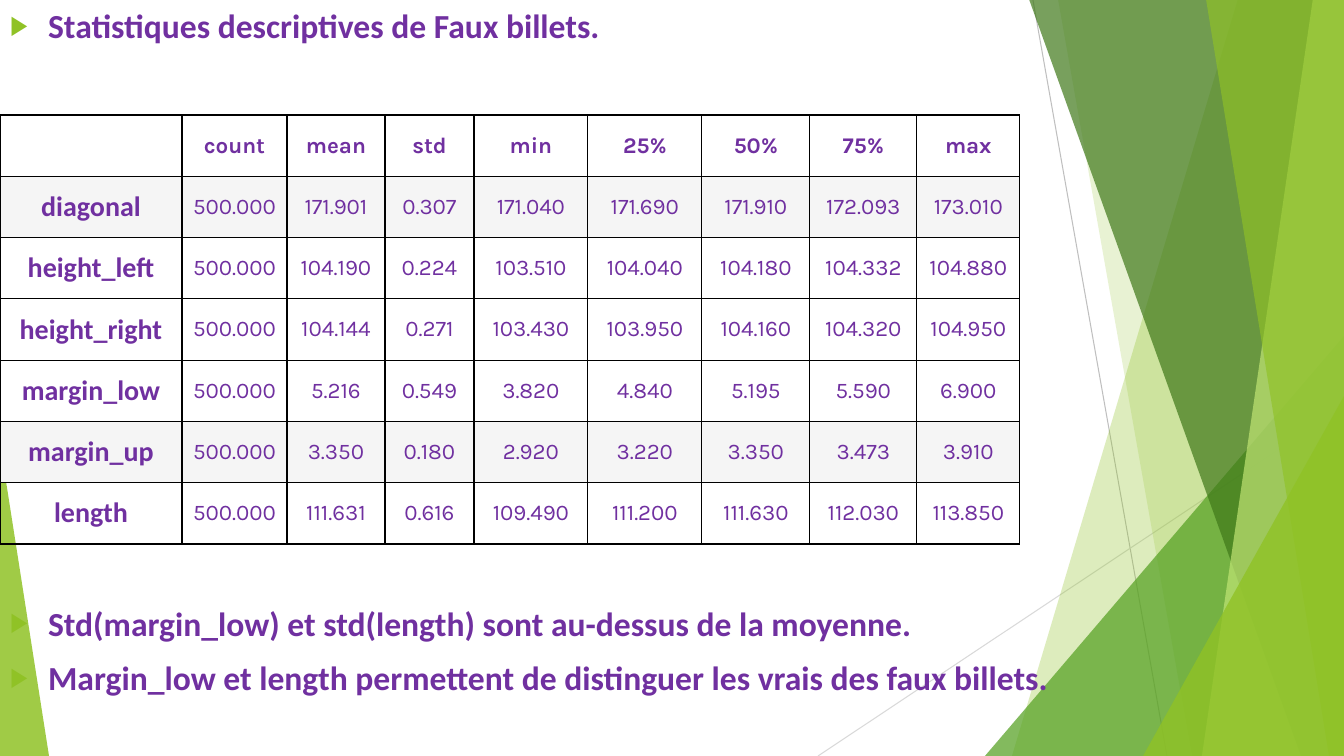
from dataclasses import dataclass

from lxml import etree
from pptx import Presentation
from pptx import util as u
from pptx.dml.color import RGBColor
from pptx.enum import shapes, text
from pptx.oxml import ns

WIDTH, HEIGHT = 1344, 756
SCALE = 12192000 / WIDTH
PURPLE, GREEN, BLACK, STRIPE = "7030A0", "90C226", "000000", "F5F5F5"


@dataclass(frozen=True)
class Line:
    start: tuple[int, int]
    end: tuple[int, int]
    colour: str


@dataclass(frozen=True)
class Facet:
    top: int
    bottom: int
    colour: str
    opacity: int


@dataclass(frozen=True)
class Triangle:
    left: int
    top: int
    width: int
    apex: int
    colour: str
    opacity: int


@dataclass(frozen=True)
class Bullet:
    words: str
    space_before: int


LINES = [
    Line((1033, 0), (1167, HEIGHT), "BFBFBF"),
    Line((WIDTH, 406), (818, HEIGHT), "D9D9D9"),
]
DECORATION = [
    Facet(1238, 1012, GREEN, 30),
    Facet(1058, 1192, GREEN, 20),
    Triangle(985, 336, 359, 1, "54A021", 72),
    Facet(1029, 1301, "3F7819", 70),
    Facet(1313, 1202, "C0E474", 70),
    Facet(1206, 1329, GREEN, 65),
    Triangle(1143, 396, 201, 1, GREEN, 80),
    Triangle(0, 443, 49, 0, GREEN, 85),
]
BULLETS = [
    Bullet("Statistiques descriptives de Faux billets.", 0),
    Bullet("Std(margin_low) et std(length) sont au-dessus de la moyenne.", 398),
    Bullet("Margin_low et length permettent de distinguer les vrais des faux billets.", 10),
]
COLUMN_WIDTHS = [182, 105, 98, 89, 114, 114, 108, 107, 103]
STATISTICS = [
    ["", "count", "mean", "std", "min", "25%", "50%", "75%", "max"],
    ["diagonal", "500.000", "171.901", "0.307", "171.040", "171.690", "171.910", "172.093", "173.010"],
    ["height_left", "500.000", "104.190", "0.224", "103.510", "104.040", "104.180", "104.332", "104.880"],
    ["height_right", "500.000", "104.144", "0.271", "103.430", "103.950", "104.160", "104.320", "104.950"],
    ["margin_low", "500.000", "5.216", "0.549", "3.820", "4.840", "5.195", "5.590", "6.900"],
    ["margin_up", "500.000", "3.350", "0.180", "2.920", "3.220", "3.350", "3.473", "3.910"],
    ["length", "500.000", "111.631", "0.616", "109.490", "111.200", "111.630", "112.030", "113.850"],
]
STRIPED_ROWS = {"diagonal", "margin_up"}


def px(length: int) -> u.Emu:
    return u.Emu(round(length * SCALE))


def rgb(colour: str) -> RGBColor:
    return RGBColor.from_string(colour)


def add_element(parent, tag: str, **attributes: str):
    return etree.SubElement(parent, ns.qn(tag), attributes)


def write(paragraph, words: str, *, size: int, font: str, bold: bool = True,
          align=text.PP_ALIGN.LEFT, space_before: int = 0) -> None:
    paragraph.alignment = align
    paragraph.space_before = u.Pt(space_before)
    run = paragraph.add_run()
    run.text = words
    run.font.size = u.Pt(size)
    run.font.name = font
    run.font.bold = bold
    run.font.color.rgb = rgb(PURPLE)


def draw_line(slide, line: Line) -> None:
    connector = slide.shapes.add_connector(
        shapes.MSO_CONNECTOR.STRAIGHT, *map(px, line.start + line.end))
    connector.line.color.rgb = rgb(line.colour)
    connector.line.width = u.Pt(0.75)
    add_element(connector.element.spPr, "a:effectLst")


def draw_decoration(slide, item: Facet | Triangle) -> None:
    if isinstance(item, Facet):
        builder = slide.shapes.build_freeform(item.top, -1, scale=SCALE)
        builder.add_line_segments([(WIDTH, -1), (WIDTH, HEIGHT), (item.bottom, HEIGHT)])
        shape = builder.convert_to_shape()
    else:
        shape = slide.shapes.add_shape(
            shapes.MSO_SHAPE.ISOSCELES_TRIANGLE, px(item.left), px(item.top),
            px(item.width), px(HEIGHT - item.top))
        shape.adjustments[0] = item.apex
    shape.shadow.inherit = False
    shape.line.fill.background()
    shape.fill.solid()
    shape.fill.fore_color.rgb = rgb(item.colour)
    colour = shape.element.spPr.find(ns.qn("a:solidFill"))[0]
    add_element(colour, "a:alpha", val=str(item.opacity * 1000))


def fill_body(slide) -> None:
    body = slide.placeholders[1]
    body.element.getparent().append(body.element)
    body.left, body.top, body.width, body.height = map(px, (0, 0, WIDTH, HEIGHT))
    frame = body.text_frame
    frame.auto_size = text.MSO_AUTO_SIZE.NONE
    frame.vertical_anchor = text.MSO_ANCHOR.TOP
    frame.word_wrap = True
    for index, bullet in enumerate(BULLETS):
        paragraph = frame.add_paragraph() if index else frame.paragraphs[0]
        properties = paragraph._p.get_or_add_pPr()
        properties.set("marL", str(px(38)))
        properties.set("indent", str(px(-38)))
        add_element(add_element(properties, "a:buClr"), "a:srgbClr", val=GREEN)
        add_element(properties, "a:buSzPct", val="80000")
        add_element(properties, "a:buFont", typeface="Calibri")
        add_element(properties, "a:buChar", char="▶")
        write(paragraph, bullet.words, size=24, font="Calibri",
              space_before=bullet.space_before)


def format_cell(cell, striped: bool) -> None:
    cell.vertical_anchor = text.MSO_ANCHOR.MIDDLE
    cell.margin_left = cell.margin_right = px(9)
    cell.margin_top = cell.margin_bottom = px(4)
    properties = cell._tc.get_or_add_tcPr()
    for side in ("a:lnL", "a:lnR", "a:lnT", "a:lnB"):
        border = add_element(properties, side, w=str(u.Pt(1)))
        add_element(add_element(border, "a:solidFill"), "a:srgbClr", val=BLACK)
    if striped:
        cell.fill.solid()
        cell.fill.fore_color.rgb = rgb(STRIPE)
    else:
        cell.fill.background()


def draw_table(slide) -> None:
    table = slide.shapes.add_table(
        len(STATISTICS), len(COLUMN_WIDTHS), px(0), px(115),
        px(sum(COLUMN_WIDTHS)), px(429)).table
    table.first_row = table.horz_banding = False
    for column, width in zip(table.columns, COLUMN_WIDTHS):
        column.width = px(width)
    for row, values in enumerate(STATISTICS):
        for column, value in enumerate(values):
            cell = table.cell(row, column)
            format_cell(cell, values[0] in STRIPED_ROWS)
            if value:
                write(cell.text_frame.paragraphs[0], value,
                      size=16 if column else 20,
                      font="Karla" if column else "Calibri",
                      bold=row == 0 or column == 0,
                      align=text.PP_ALIGN.CENTER)


def main() -> None:
    presentation = Presentation()
    presentation.slide_width, presentation.slide_height = px(WIDTH), px(HEIGHT)
    slide = presentation.slides.add_slide(presentation.slide_layouts[1])
    title = slide.shapes.title.element
    title.getparent().remove(title)
    for line in LINES:
        draw_line(slide, line)
    for item in DECORATION:
        draw_decoration(slide, item)
    fill_body(slide)
    draw_table(slide)
    presentation.save("out.pptx")


if __name__ == "__main__":
    main()
